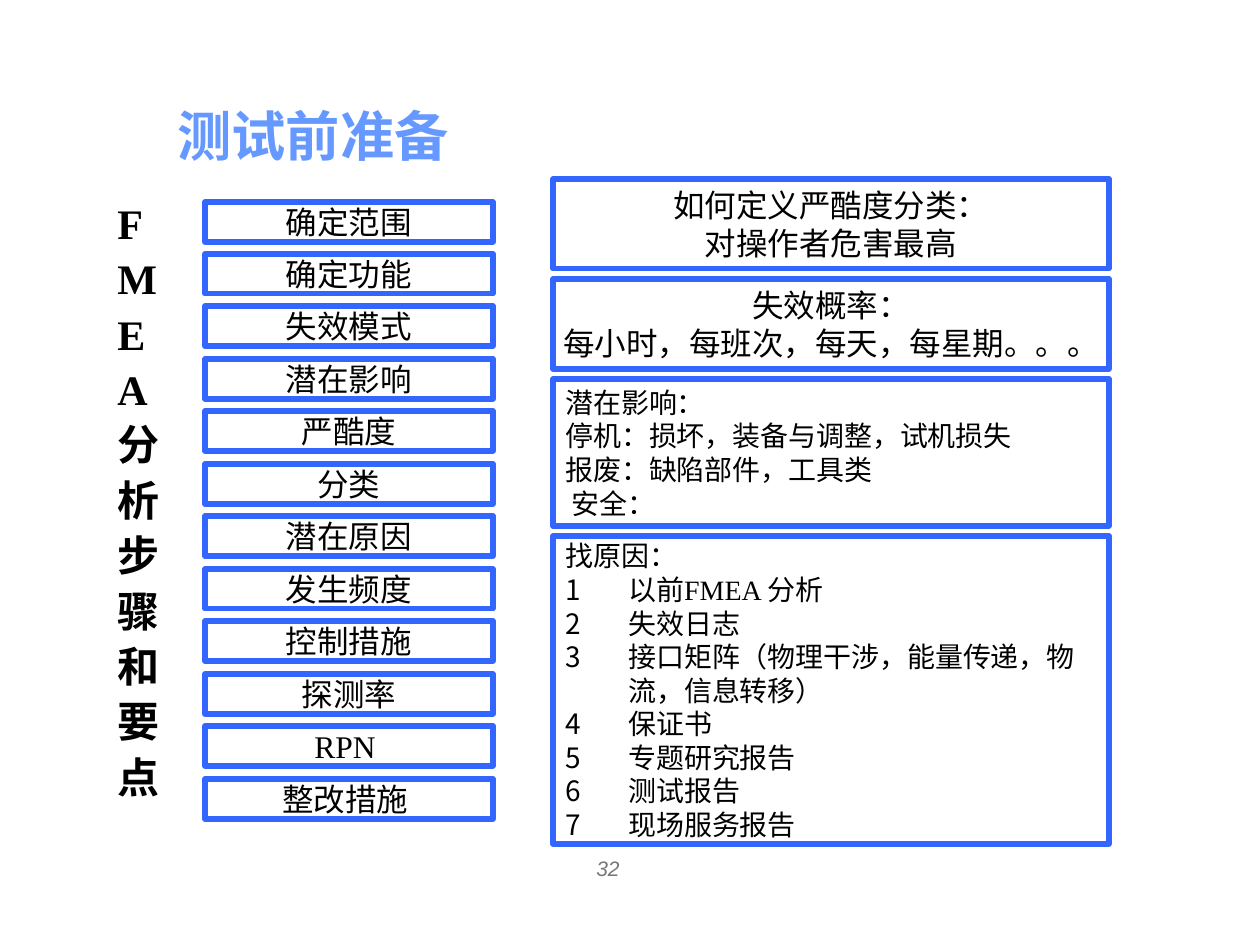
import dataclasses

import pptx
import pptx.dml.color
import pptx.enum.shapes
import pptx.enum.text
import pptx.oxml.ns
import pptx.util
from lxml import etree

ALIGN = pptx.enum.text.PP_ALIGN
ANCHOR = pptx.enum.text.MSO_ANCHOR
EMU_PER_PX = 914400 / 126


@dataclasses.dataclass(frozen=True)
class Theme:
    title_color: str = "6699FF"
    border: str = "3366FF"
    fill: str = "FFFFFF"
    ink: str = "000000"
    muted: str = "777777"
    sans: str = "Arial"
    serif: str = "Times New Roman"
    title_size: int = 31
    banner_size: int = 24
    box_size: int = 18
    detail_size: int = 16
    footer_size: int = 12
    border_width: int = 3


def px(length):
    return pptx.util.Emu(round(length * EMU_PER_PX))


def rgb(value):
    return pptx.dml.color.RGBColor.from_string(value)


def number_paragraph(paragraph, color):
    """Give a paragraph a plain automatic number."""
    properties = paragraph._p.get_or_add_pPr()
    bullet_color = etree.SubElement(properties, pptx.oxml.ns.qn("a:buClr"))
    etree.SubElement(bullet_color, pptx.oxml.ns.qn("a:srgbClr"), val=color)
    etree.SubElement(properties, pptx.oxml.ns.qn("a:buAutoNum"), type="arabicPlain")


def write_text(frame, lines, *, size, font, color, bold=False, italic=False,
               align=ALIGN.LEFT, anchor=ANCHOR.TOP, wrap=True, spacing=None,
               hanging=0, numbered_from=None):
    """Fill a text frame; lines from index numbered_from on are numbered."""
    frame.word_wrap = wrap
    frame.vertical_anchor = anchor
    for index, line in enumerate(lines):
        paragraph = frame.paragraphs[0] if index == 0 else frame.add_paragraph()
        paragraph.alignment = align
        if spacing:
            paragraph.line_spacing = spacing
        if hanging:
            properties = paragraph._p.get_or_add_pPr()
            properties.set("marL", str(px(hanging)))
            properties.set("indent", str(-px(hanging)))
        if numbered_from is not None and index >= numbered_from:
            number_paragraph(paragraph, color)
        run = paragraph.add_run()
        run.text = line
        run.font.size = pptx.util.Pt(size)
        run.font.name = font
        run.font.bold = bold
        run.font.italic = italic
        run.font.color.rgb = rgb(color)


class SlideBuilder:
    def __init__(self, slide, theme):
        self.slide = slide
        self.theme = theme

    def label(self, left, top, width, height, lines, **text_format):
        label = self.slide.shapes.add_textbox(px(left), px(top), px(width), px(height))
        write_text(label.text_frame, lines, **text_format)

    def box(self, left, top, width, height, lines, **text_format):
        theme = self.theme
        box = self.slide.shapes.add_shape(
            pptx.enum.shapes.MSO_SHAPE.RECTANGLE,
            px(left), px(top), px(width), px(height))
        box.shadow.inherit = False
        box.fill.solid()
        box.fill.fore_color.rgb = rgb(theme.fill)
        box.line.color.rgb = rgb(theme.border)
        box.line.width = pptx.util.Pt(theme.border_width)
        write_text(box.text_frame, lines, font=theme.serif, color=theme.ink,
                   anchor=ANCHOR.MIDDLE, **text_format)


STEPS = ["确定范围", "确定功能", "失效模式", "潜在影响", "严酷度", "分类",
         "潜在原因", "发生频度", "控制措施", "探测率", "RPN ", "整改措施 "]
SEVERITY = ["如何定义严酷度分类：", "对操作者危害最高"]
PROBABILITY = ["失效概率：", "每小时，每班次，每天，每星期。。。"]
EFFECTS = ["潜在影响：", "停机：损坏，装备与调整，试机损失", "报废：缺陷部件，工具类", " 安全："]
CAUSES = ["找原因：", "以前FMEA 分析", "失效日志",
          "接口矩阵（物理干涉，能量传递，物流，信息转移）",
          "保证书", "专题研究报告", "测试报告", "现场服务报告"]


def main():
    theme = Theme()
    deck = pptx.Presentation()
    deck.slide_width, deck.slide_height = px(1260), px(945)
    builder = SlideBuilder(deck.slides.add_slide(deck.slide_layouts[6]), theme)

    # Title and vertical banner
    builder.label(165, 96, 296, 78, ["测试前准备"], size=theme.title_size,
                  font=theme.sans, color=theme.title_color, bold=True, wrap=False)
    builder.label(105, 186, 84, 622, list("FMEA分析步骤和要点"),
                  size=theme.banner_size, font=theme.serif, color=theme.ink,
                  bold=True, spacing=1.1)

    # Analysis steps, evenly spread between the first and last tops
    first_top, last_top = 202, 779
    for index, step in enumerate(STEPS):
        top = first_top + (last_top - first_top) * index // (len(STEPS) - 1)
        builder.box(205, top, 288, 40, [step], size=theme.box_size,
                    align=ALIGN.CENTER, wrap=False)

    # Key points, stacked with equal gaps
    centered = dict(size=theme.box_size, align=ALIGN.CENTER, wrap=False)
    key_points = [
        (90, SEVERITY, centered),
        (90, PROBABILITY, centered),
        (147, EFFECTS, dict(size=theme.detail_size, wrap=False)),
        (308, CAUSES, dict(size=theme.detail_size, hanging=63, numbered_from=1)),
    ]
    top, gap = 179, 10
    for height, lines, text_format in key_points:
        builder.box(553, top, 556, height, lines, **text_format)
        top += height + gap

    # Page number
    builder.label(461, 849, 294, 29, ["32"], size=theme.footer_size,
                  font=theme.sans, color=theme.muted, italic=True, align=ALIGN.CENTER)

    deck.save("out.pptx")


if __name__ == "__main__":
    main()
